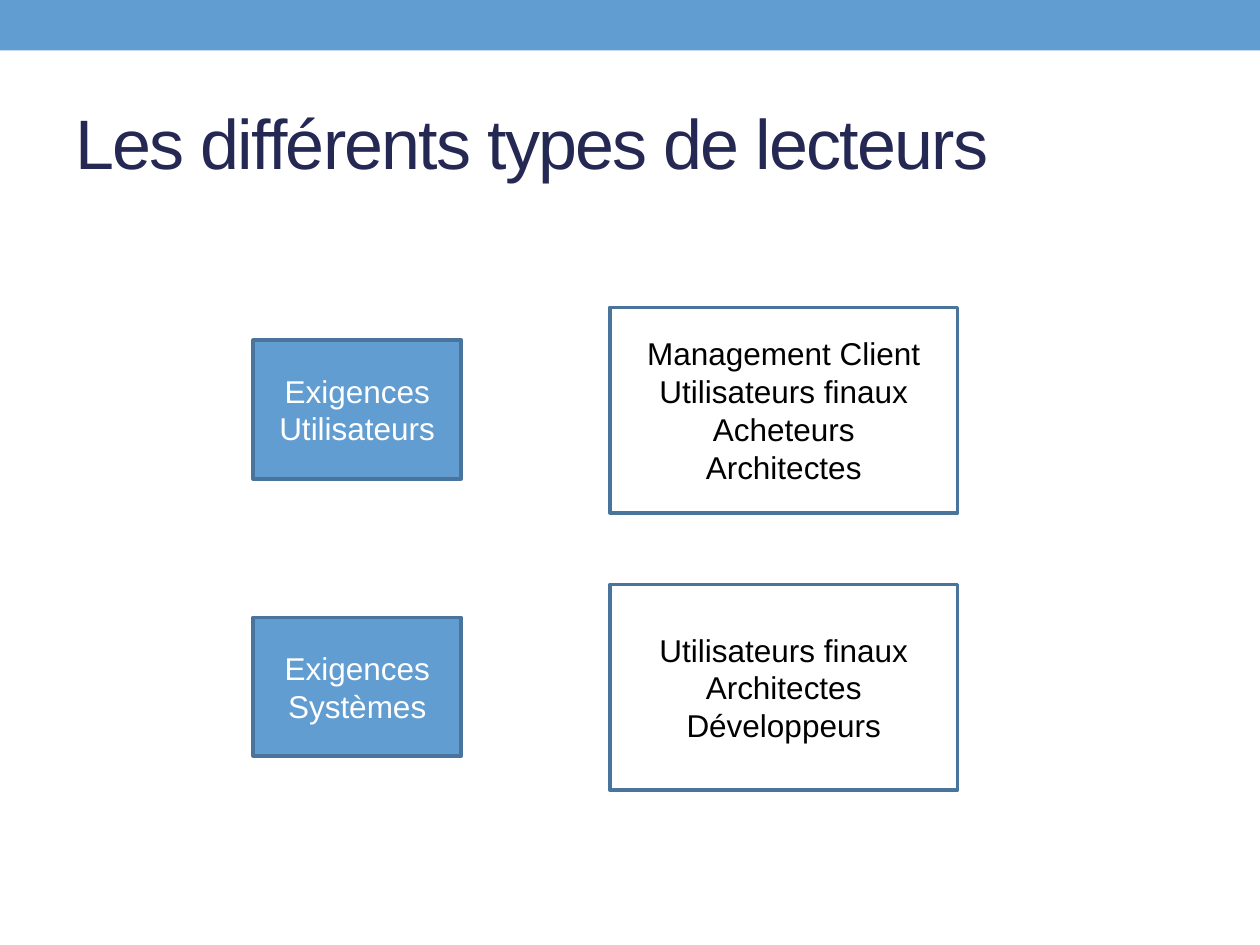
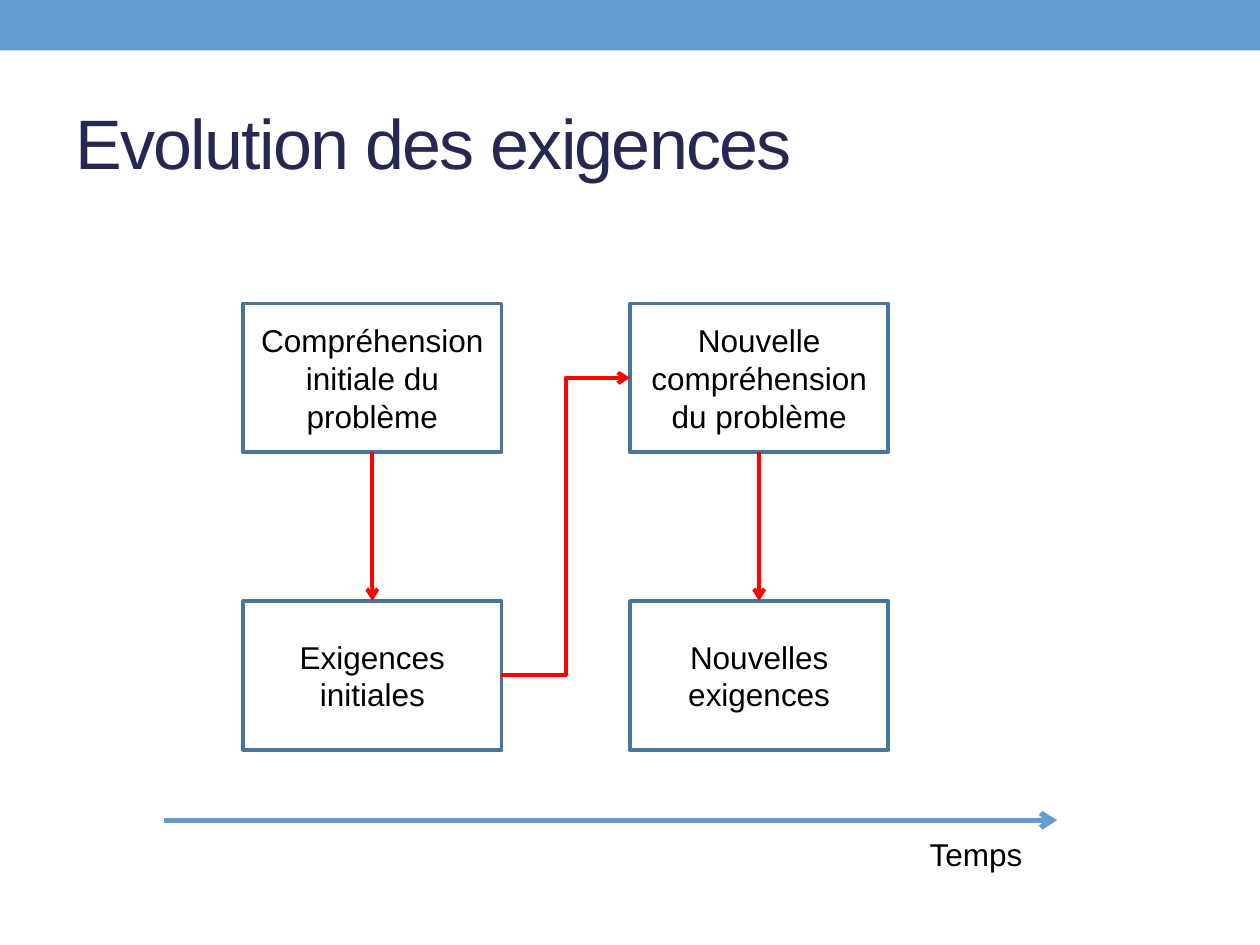
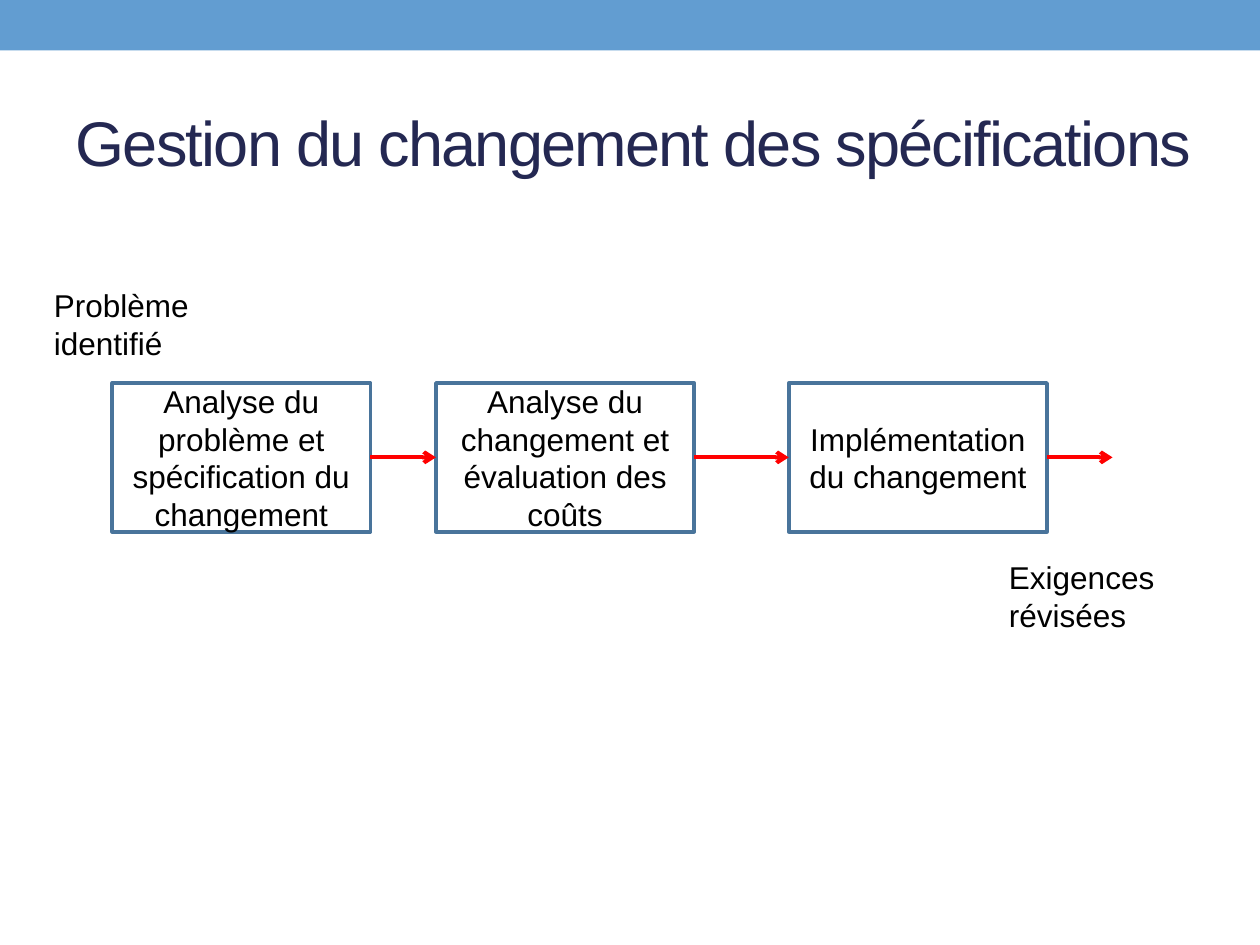
import pptx
import pptx.util
import pptx.dml.color
import pptx.enum.shapes
import pptx.enum.text
import pptx.oxml.ns
from lxml import etree

Inches, Pt = pptx.util.Inches, pptx.util.Pt
SHAPES = pptx.enum.shapes.MSO_SHAPE
CONNECTORS = pptx.enum.shapes.MSO_CONNECTOR
ALIGN = pptx.enum.text.PP_ALIGN
ANCHOR = pptx.enum.text.MSO_ANCHOR
FIT = pptx.enum.text.MSO_AUTO_SIZE

# Content
READERS_TITLE = "Les différents types de lecteurs"
READERS = [
    ("Exigences Utilisateurs",
     ["Management Client", "Utilisateurs finaux", "Acheteurs", "Architectes"]),
    ("Exigences Systèmes",
     ["Utilisateurs finaux", "Architectes", "Développeurs"]),
]
EVOLUTION_TITLE = "Evolution des exigences"
EVOLUTION = [
    ("Compréhension initiale du problème", "Exigences initiales"),
    ("Nouvelle compréhension du problème", "Nouvelles exigences"),
]
TIME_LABEL = "Temps"
CHANGE_TITLE = "Gestion du changement des spécifications"
CHANGE_STEPS = [
    ("Analyse du problème et spécification du changement", 0.89),
    ("Analyse du changement et évaluation des coûts", 3.46),
    ("Implémentation du changement", 6.26),
]
CHANGE_LABELS = [("Problème identifié", 0.33, 2.22), ("Exigences révisées", 7.91, 4.38)]

# Shared style
COLORS = {"blue": "629DD1", "outline": "49749B", "title": "242852",
          "arrow": "FF0000", "white": "FFFFFF", "black": "000000"}
FONT = "Arial"
WIDTH, HEIGHT = 10, 7.5
STEP_WIDTH, STEP_HEIGHT = 2.05, 1.18
TOP, LEFT, BOTTOM, RIGHT = range(4)  # connection sites of a rectangle


def color(name):
    return pptx.dml.color.RGBColor.from_string(COLORS[name])


def inches(*lengths):
    return [Inches(length) for length in lengths]


def style_text(frame, lines, size, ink, align):
    frame.word_wrap = True
    frame.text = "\n".join(lines)
    for para in frame.paragraphs:
        para.alignment = align
        para.font.name, para.font.size = FONT, Pt(size)
        para.font.color.rgb = color(ink)


def add_page(deck, layout, title, size=40):
    page = deck.slides.add_slide(layout)
    frame = page.shapes.title.text_frame
    style_text(frame, [title], size, "title", ALIGN.LEFT)
    frame.auto_size = FIT.NONE
    frame.vertical_anchor = ANCHOR.MIDDLE
    frame.paragraphs[0].runs[0].font._element.set("spc", "-100")
    return page


def add_box(page, lines, left, top, width, height,
            kind=SHAPES.RECTANGLE, fill="white", ink="black"):
    box = page.shapes.add_shape(kind, *inches(left, top, width, height))
    box.shadow.inherit = False
    box.fill.solid()
    box.fill.fore_color.rgb = color(fill)
    box.line.color.rgb = color("outline")
    box.line.width = Pt(2.08)
    box.text_frame.vertical_anchor = ANCHOR.MIDDLE
    style_text(box.text_frame, lines, 18, ink, ALIGN.CENTER)
    return box


def add_step(page, text, left, top):
    return add_box(page, [text], left, top, STEP_WIDTH, STEP_HEIGHT, SHAPES.FLOWCHART_PROCESS)


def add_label(page, text, left, top, width, height):
    label = page.shapes.add_textbox(*inches(left, top, width, height))
    style_text(label.text_frame, [text], 18, "black", ALIGN.LEFT)
    label.text_frame.auto_size = FIT.SHAPE_TO_FIT_TEXT


def add_arrow(page, start, end, ink="arrow", weight=2.25, kind=CONNECTORS.STRAIGHT):
    arrow = page.shapes.add_connector(kind, *inches(*start, *end))
    arrow.line.color.rgb = color(ink)
    arrow.line.width = Pt(weight)
    properties = arrow.element.spPr
    outline = properties.find(pptx.oxml.ns.qn("a:ln"))
    etree.SubElement(outline, pptx.oxml.ns.qn("a:tailEnd"), type="arrow")
    etree.SubElement(properties, pptx.oxml.ns.qn("a:effectLst"))
    return arrow


def link(page, source, source_site, target, target_site, kind=CONNECTORS.STRAIGHT):
    arrow = add_arrow(page, (0, 0), (1, 1), kind=kind)
    arrow.begin_connect(source, source_site)
    arrow.end_connect(target, target_site)


def build_readers(deck, layout):
    page = add_page(deck, layout, READERS_TITLE)
    for row, (subject, readers) in enumerate(READERS):
        middle = 3.25 + 2.2 * row
        add_box(page, [subject], 2.01, middle - 0.55, 1.65, 1.1, fill="blue", ink="white")
        add_box(page, readers, 4.84, middle - 0.81, 2.76, 1.63)


def build_evolution(deck, layout):
    page = add_page(deck, layout, EVOLUTION_TITLE)
    columns = [
        [add_step(page, text, 1.93 + 3.07 * column, 2.41 + 2 * STEP_HEIGHT * row)
         for row, text in enumerate(texts)]
        for column, texts in enumerate(EVOLUTION)
    ]
    for upper, lower in columns:
        link(page, upper, BOTTOM, lower, TOP)
    link(page, columns[0][1], RIGHT, columns[1][0], LEFT, CONNECTORS.ELBOW)
    # Time axis
    add_arrow(page, (1.3, 6.51), (8.39, 6.51), "blue", 3)
    add_label(page, TIME_LABEL, 7.28, 6.58, 1.65, 0.4)


def build_change(deck, layout):
    page = add_page(deck, layout, CHANGE_TITLE, size=36)
    title = page.shapes.title
    title.left, title.top, title.width, title.height = inches(0.5, 0.58, 9.3, 1.08)
    top = 3.04
    steps = [add_step(page, text, left, top) for text, left in CHANGE_STEPS]
    for source, target in zip(steps, steps[1:]):
        link(page, source, RIGHT, target, LEFT)
    # Way out of the last step
    end, middle = CHANGE_STEPS[-1][1] + STEP_WIDTH, top + STEP_HEIGHT / 2
    add_arrow(page, (end, middle), (end + 0.52, middle))
    for text, left, label_top in CHANGE_LABELS:
        add_label(page, text, left, label_top, 1.57, 0.71)


def add_band(deck, layout):
    """Draw the top band once, then move it to the shared layout."""
    band = deck.slides[0].shapes.add_shape(SHAPES.RECTANGLE, *inches(0, 0, WIDTH, 0.4))
    band.shadow.inherit = False
    band.fill.solid()
    band.fill.fore_color.rgb = color("blue")
    band.line.fill.background()
    layout.shapes.element.insert(2, band.element)


def main():
    deck = pptx.Presentation()
    deck.slide_width, deck.slide_height = inches(WIDTH, HEIGHT)
    layout = deck.slide_layouts.get_by_name("Title Only")
    title = layout.placeholders[0]
    title.left, title.top, title.width, title.height = inches(0.5, 0.58, 9, 1.08)
    for build in (build_readers, build_evolution, build_change):
        build(deck, layout)
    add_band(deck, layout)
    deck.save("out.pptx")


if __name__ == "__main__":
    main()
